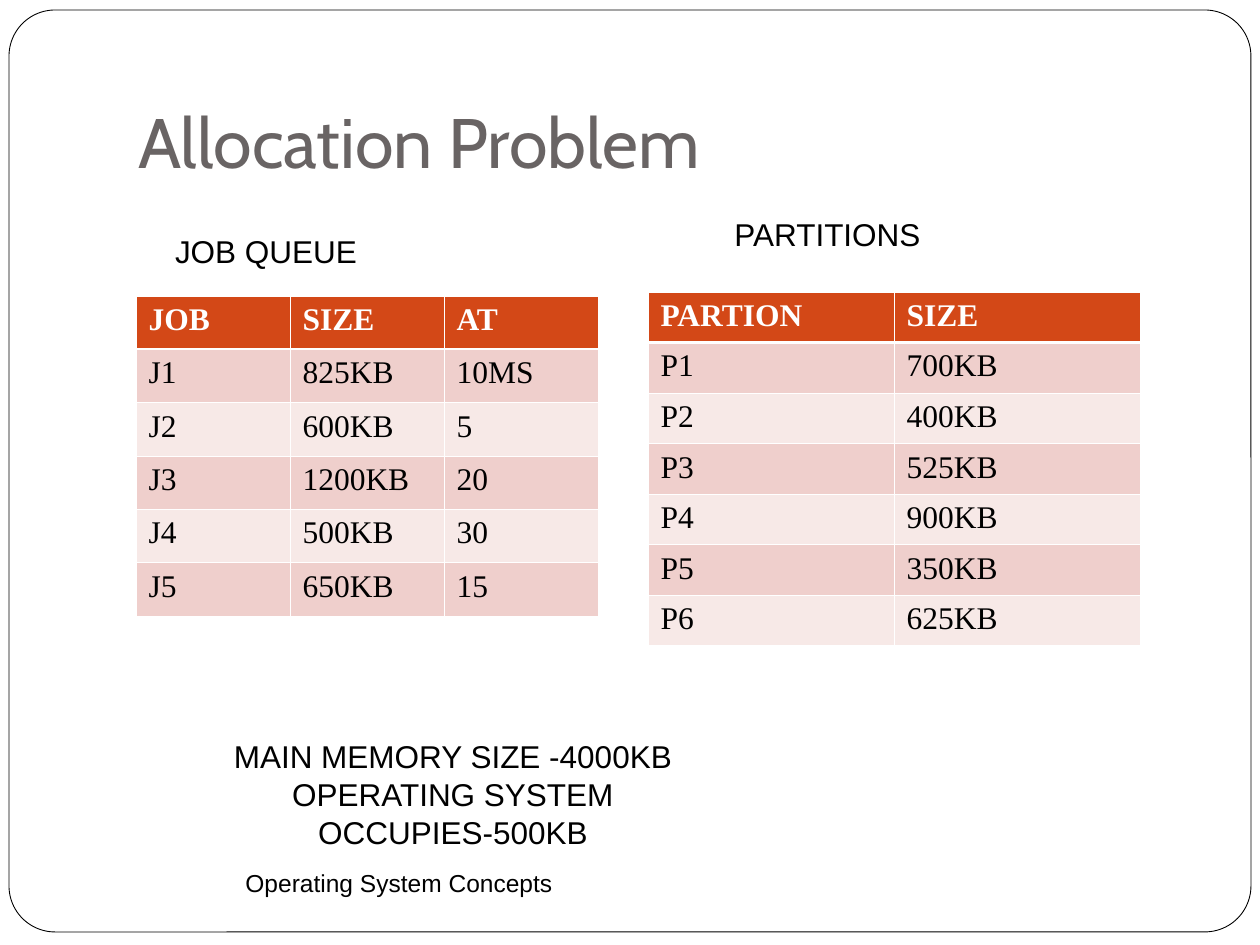
from dataclasses import dataclass

from lxml import etree
from pptx import Presentation
from pptx import util as u
from pptx.dml.color import RGBColor
from pptx.enum import shapes, text
from pptx.oxml import ns

PX = u.Inches(1) / 126


@dataclass(frozen=True)
class Theme:
    paper: str = "FFFFFF"
    ink: str = "000000"
    title: str = "696464"
    header: str = "D34817"
    bands: tuple = ("EFCFCC", "F7E9E7")
    title_font: str = "Cabin"
    label_font: str = "Arial"
    table_font: str = "Times New Roman"
    title_size: int = 40
    body_size: int = 18
    footer_size: int = 14
    frame_line: float = 0.5
    grid_line: float = 0.45
    header_line: float = 1.47


THEME = Theme()

JOBS = [
    ("JOB", "SIZE", "AT"),
    ("J1", "825KB", "10MS"),
    ("J2", "600KB", "5"),
    ("J3", "1200KB", "20"),
    ("J4", "500KB", "30"),
    ("J5", "650KB", "15"),
]
PARTITIONS = [
    ("PARTION", "SIZE"),
    ("P1", "700KB"),
    ("P2", "400KB"),
    ("P3", "525KB"),
    ("P4", "900KB"),
    ("P5", "350KB"),
    ("P6", "625KB"),
]


def px(length):
    return u.Emu(round(length * PX))


def color(value):
    return RGBColor.from_string(value)


def write(frame, lines, *, font=THEME.label_font, size=THEME.body_size,
          ink=THEME.ink, bold=False, align=text.PP_ALIGN.LEFT):
    frame.text = "\n".join(lines)
    for paragraph in frame.paragraphs:
        paragraph.alignment = align
        for run in paragraph.runs:
            run.font.name = font
            run.font.size = u.Pt(size)
            run.font.bold = bold
            run.font.color.rgb = color(ink)


def add_text(slide, box, *lines, anchor=text.MSO_ANCHOR.TOP, wrap=True,
             bottom=6, align=text.PP_ALIGN.CENTER, **style):
    frame = slide.shapes.add_textbox(*map(px, box)).text_frame
    frame.word_wrap = wrap
    frame.vertical_anchor = anchor
    frame.margin_bottom = px(bottom)
    write(frame, lines, align=align, **style)


def add_frame(slide, box):
    frame = slide.shapes.add_shape(
        shapes.MSO_SHAPE.ROUNDED_RECTANGLE, *map(px, box))
    frame.adjustments[0] = 0.05
    frame.shadow.inherit = False
    frame.fill.solid()
    frame.fill.fore_color.rgb = color(THEME.paper)
    frame.line.color.rgb = color(THEME.ink)
    frame.line.width = u.Pt(THEME.frame_line)


def set_borders(cell, **widths):
    properties = cell._tc.get_or_add_tcPr()
    for index, side in enumerate("LRTB"):
        width = u.Pt(widths.get(side, THEME.grid_line))
        line = etree.Element(ns.qn(f"a:ln{side}"), w=str(width))
        fill = etree.SubElement(line, ns.qn("a:solidFill"))
        etree.SubElement(fill, ns.qn("a:srgbClr"), val=THEME.paper)
        properties.insert(index, line)


def add_grid(slide, box, records):
    table = slide.shapes.add_table(
        len(records), len(records[0]), *map(px, box)).table
    for column in table.columns:
        column.width = px(box[2] / len(records[0]))
    for row, record in enumerate(records):
        table.rows[row].height = px(box[3] / len(records))
        heading = row == 0
        edges = {0: {"B": THEME.header_line}, 1: {"T": THEME.header_line}}
        for column, value in enumerate(record):
            cell = table.cell(row, column)
            cell.fill.solid()
            cell.fill.fore_color.rgb = color(
                THEME.header if heading else THEME.bands[(row - 1) % 2])
            set_borders(cell, **edges.get(row, {}))
            write(cell.text_frame, [value], font=THEME.table_font, bold=heading,
                  ink=THEME.paper if heading else THEME.ink)


def main():
    deck = Presentation()
    deck.slide_width, deck.slide_height = px(1260), px(945)
    slide = deck.slides.add_slide(deck.slide_layouts[6])
    slide.background.fill.solid()
    slide.background.fill.fore_color.rgb = color(THEME.paper)

    add_frame(slide, (9, 10, 1242, 922))
    add_text(slide, (126, 38, 1071, 157), "Allocation Problem",
             anchor=text.MSO_ANCHOR.BOTTOM, bottom=13, align=text.PP_ALIGN.LEFT,
             font=THEME.title_font, size=THEME.title_size, ink=THEME.title)
    add_text(slide, (126, 851, 546, 63), "Operating System Concepts",
             anchor=text.MSO_ANCHOR.MIDDLE, size=THEME.footer_size)
    add_grid(slide, (136, 296, 462, 320), JOBS)
    add_grid(slide, (648, 292, 492, 354), PARTITIONS)
    add_text(slide, (162, 226, 208, 50), "JOB QUEUE", wrap=False)
    add_text(slide, (699, 209, 257, 50), "PARTITIONS", wrap=False)
    add_text(slide, (162, 731, 582, 126), "MAIN MEMORY SIZE -4000KB",
             "OPERATING SYSTEM OCCUPIES-500KB")
    deck.save("out.pptx")


if __name__ == "__main__":
    main()
